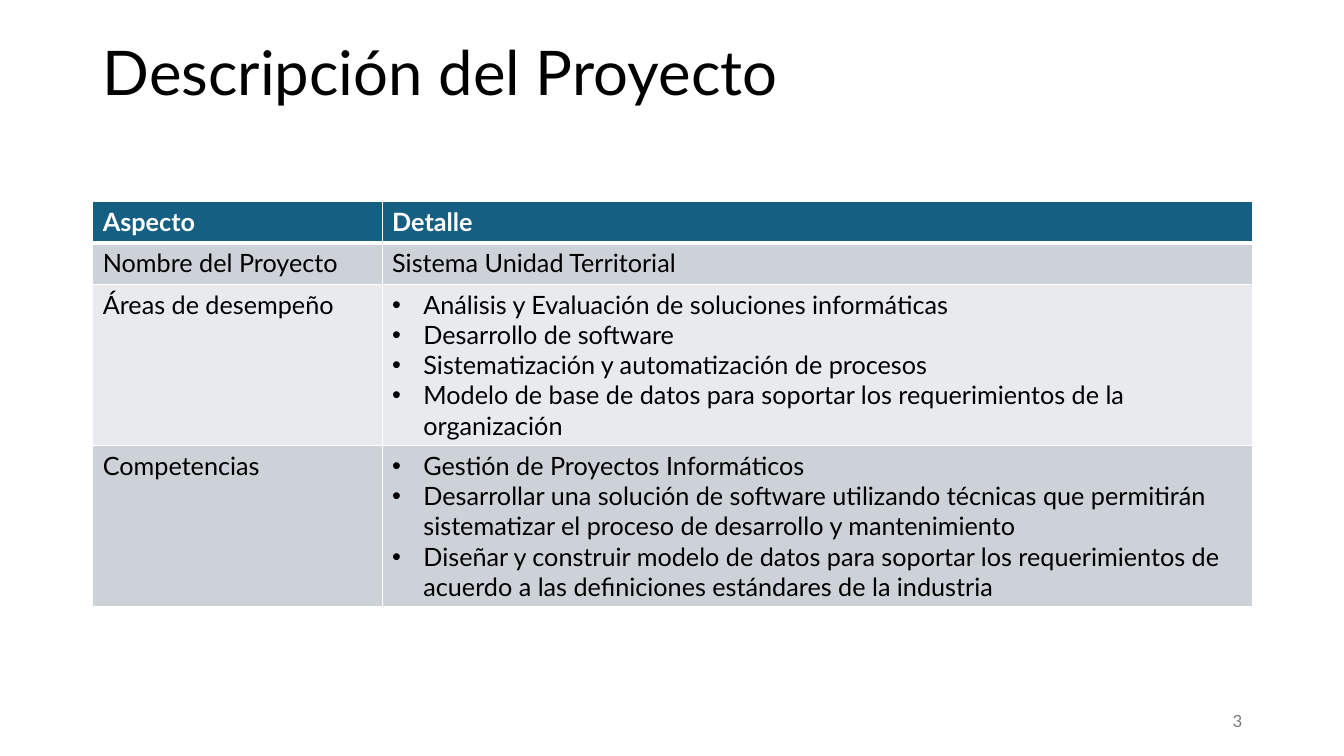
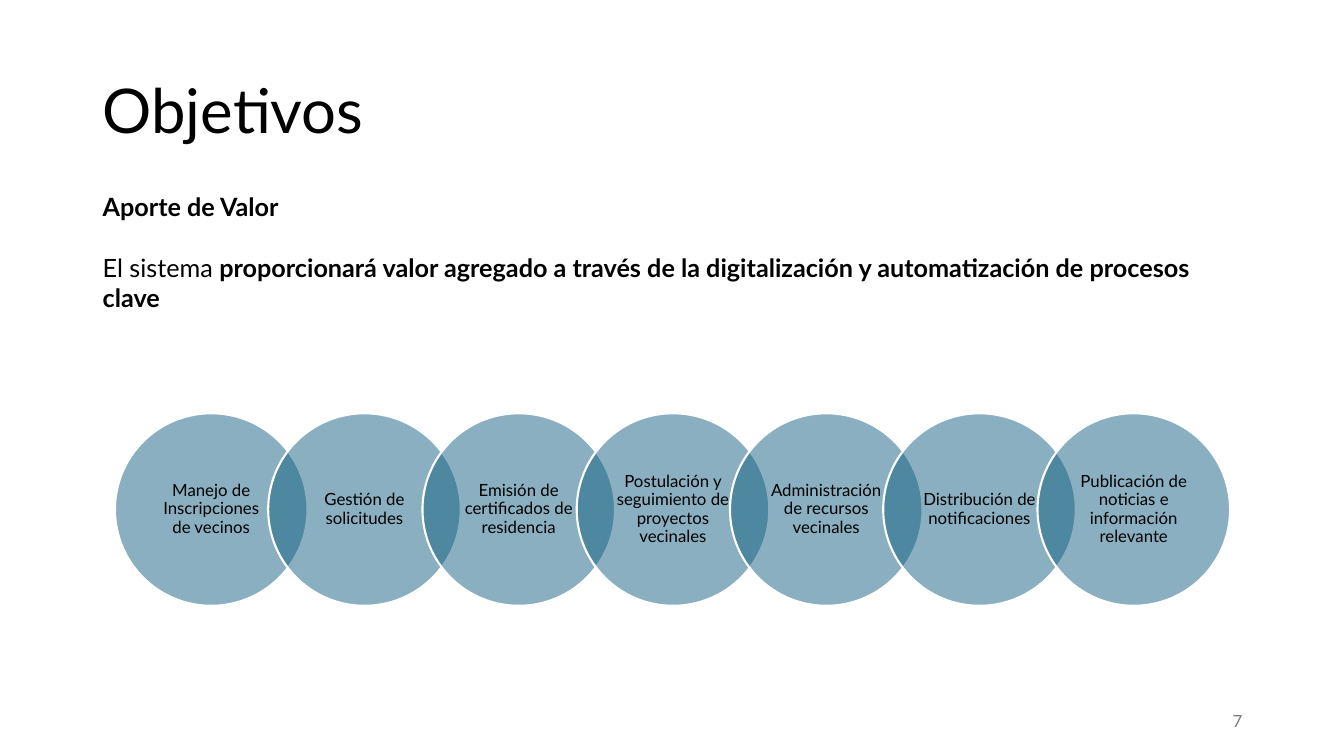
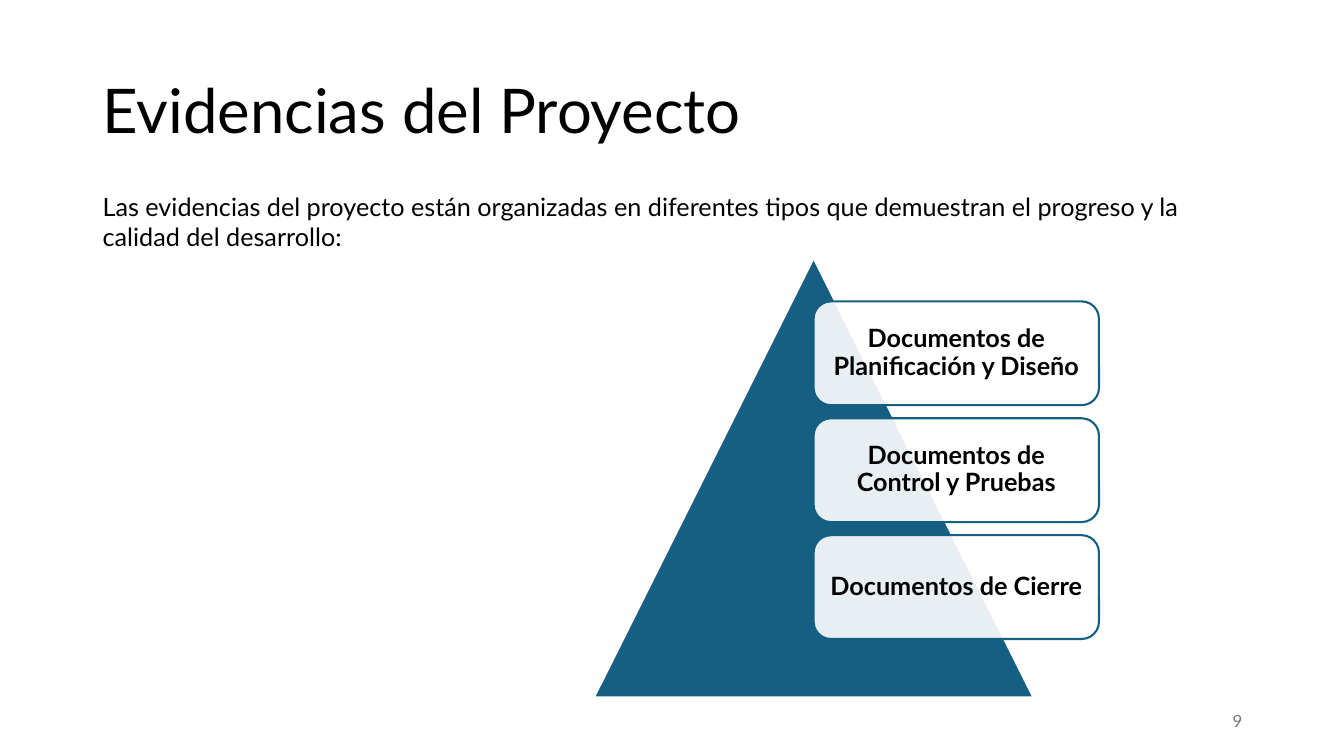
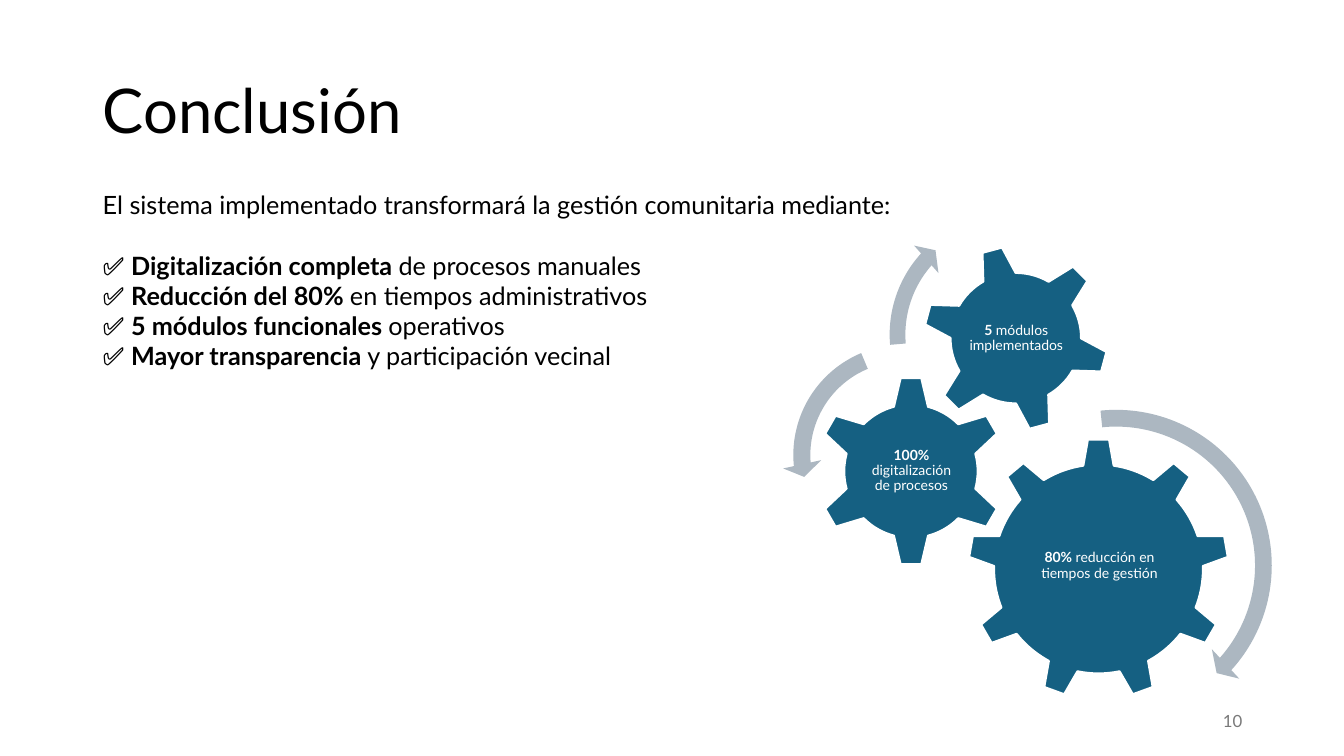
"""Build four slides that present a neighbourhood management system project."""

from dataclasses import dataclass
from typing import NamedTuple, Optional

from lxml.etree import SubElement
from pptx import Presentation
from pptx.dml.color import RGBColor
from pptx.enum.shapes import MSO_SHAPE
from pptx.enum.text import MSO_ANCHOR, PP_ALIGN
from pptx.oxml.ns import qn
from pptx.shapes.autoshape import Shape
from pptx.slide import Slide
from pptx.table import _Cell
from pptx.text.text import TextFrame
from pptx.util import Emu, Pt

EMU_PER_PX = 9144
FONT = "Lato"
COLORS = {
    "white": "FFFFFF",
    "black": "000000",
    "teal": "156082",
    "band_dark": "CCD2D8",
    "band_light": "E8EAED",
    "arrow": "ACB7C1",
    "number": "797979",
}


class Box(NamedTuple):
    left: int
    top: int
    width: int
    height: int


class Run(NamedTuple):
    text: str
    bold: bool = False


@dataclass(frozen=True)
class Paragraph:
    runs: tuple[Run, ...]
    bullet: bool = False
    space_before: float = 0


@dataclass(frozen=True)
class TextStyle:
    size: int = 18
    color: str = "black"
    align: PP_ALIGN = PP_ALIGN.LEFT
    anchor: MSO_ANCHOR = MSO_ANCHOR.TOP
    line_spacing: float = 1.0
    inset_x: int = 10
    inset_y: int = 5


@dataclass(frozen=True)
class Look:
    fill: str
    line: Optional[str] = None
    opacity: int = 100


@dataclass(frozen=True)
class Gear:
    kind: MSO_SHAPE
    box: Box
    label_box: Box
    runs: tuple[Run, ...]
    rotation: int = 0


@dataclass(frozen=True)
class Arrow:
    kind: MSO_SHAPE
    box: Box
    adjustments: tuple[float, ...]


MIDDLE, CENTER = MSO_ANCHOR.MIDDLE, PP_ALIGN.CENTER
BODY = TextStyle()
TITLE = TextStyle(size=44, anchor=MIDDLE, line_spacing=0.9)
NUMBER = TextStyle(size=12, color="number", align=PP_ALIGN.RIGHT, anchor=MIDDLE)
HEADER = TextStyle(color="white")
CIRCLE_LABEL = TextStyle(12, "black", CENTER, MIDDLE, 0.9, 10, 2)
CARD_LABEL = TextStyle(18, "black", CENTER, MIDDLE, 0.9, 7, 7)
GEAR_LABEL = TextStyle(10, "white", CENTER, MIDDLE, 0.9, 1, 1)

SOLID = Look("teal", "white")
CIRCLE = Look("teal", "white", 50)
CARD = Look("white", "teal", 90)
ARROW = Look("arrow")

MARGIN, CONTENT_WIDTH = 92, 1150
BLANK_LINE = 21.6
COLUMN_WIDTHS = (287, 863)
ROW_HEIGHTS = (41, 41, 160, 159)

PROJECT_ROWS = (
    ("Aspecto", ("Detalle",)),
    ("Nombre del Proyecto", ("Sistema Unidad Territorial",)),
    ("Áreas de desempeño", (
        "Análisis y Evaluación de soluciones informáticas",
        "Desarrollo de software",
        "Sistematización y automatización de procesos",
        "Modelo de base de datos para soportar los requerimientos de la organización",
    )),
    ("Competencias", (
        "Gestión de Proyectos Informáticos",
        "Desarrollar una solución de software utilizando técnicas que permitirán "
        "sistematizar el proceso de desarrollo y mantenimiento",
        "Diseñar y construir modelo de datos para soportar los requerimientos de "
        "acuerdo a las definiciones estándares de la industria",
    )),
)
PROCESSES = (
    "Manejo de Inscripciones de vecinos",
    "Gestión de solicitudes",
    "Emisión de certificados de residencia",
    "Postulación y seguimiento de proyectos vecinales",
    "Administración de recursos vecinales",
    "Distribución de notificaciones",
    "Publicación de noticias e información relevante",
)
DOCUMENTS = (
    "Documentos de Planificación y Diseño",
    "Documentos de Control y Pruebas",
    "Documentos de Cierre",
)
BENEFITS = (
    ("Digitalización completa ", "de procesos manuales"),
    ("Reducción del 80% ", "en tiempos administrativos"),
    ("5 módulos funcionales ", "operativos"),
    ("Mayor transparencia ", "y participación vecinal"),
)
GEARS = (
    Gear(MSO_SHAPE.GEAR_9, Box(960, 435, 259, 259), Box(1013, 495, 155, 133),
         (Run("80%", True), Run(" reducción en tiempos de gestión"))),
    Gear(MSO_SHAPE.GEAR_6, Box(809, 373, 189, 189), Box(857, 421, 94, 93),
         (Run("100%", True), Run(" digitalización de procesos"))),
    Gear(MSO_SHAPE.GEAR_6, Box(915, 243, 185, 185), Box(956, 284, 104, 104),
         (Run("5", True), Run(" módulos implementados")), 345),
)
ARROWS = (
    Arrow(MSO_SHAPE.CIRCULAR_ARROW, Box(941, 395, 332, 332),
          (0.05, 2.99, 25.19, 158.55, 0.06)),
    Arrow(MSO_SHAPE.LEFT_CIRCULAR_ARROW, Box(776, 331, 241, 241),
          (0.07, 4.3, 104.89, 148.38, 0.08)),
    Arrow(MSO_SHAPE.CIRCULAR_ARROW, Box(872, 202, 260, 260),
          (0.06, 3.94, 133.14, 105.08, 0.07)),
)


def px(length: int) -> Emu:
    return Emu(length * EMU_PER_PX)


def rgb(name: str) -> RGBColor:
    return RGBColor.from_string(COLORS[name])


def plain(text: str, bold: bool = False) -> Paragraph:
    return Paragraph((Run(text, bold),))


def write(frame: TextFrame, paragraphs: list[Paragraph], style: TextStyle) -> None:
    for index, content in enumerate(paragraphs):
        paragraph = frame.add_paragraph() if index else frame.paragraphs[0]
        paragraph.alignment = style.align
        paragraph.line_spacing = style.line_spacing
        paragraph.space_before = Pt(content.space_before)
        if content.bullet:
            properties = paragraph._p.get_or_add_pPr()
            properties.set("marL", str(px(31)))
            properties.set("indent", str(px(-31)))
            SubElement(properties, qn("a:buFont"), typeface="Arial")
            SubElement(properties, qn("a:buChar"), char="•")
        for part in content.runs:
            run = paragraph.add_run()
            run.text = part.text
            run.font.name = FONT
            run.font.size = Pt(style.size)
            run.font.bold = part.bold
            run.font.color.rgb = rgb(style.color)


def fill_frame(shape: Shape, paragraphs: list[Paragraph], style: TextStyle) -> None:
    frame = shape.text_frame
    frame.word_wrap = True
    frame.vertical_anchor = style.anchor
    frame.margin_left = frame.margin_right = px(style.inset_x)
    frame.margin_top = frame.margin_bottom = px(style.inset_y)
    write(frame, paragraphs, style)


def add_text(slide: Slide, box: Box, paragraphs: list[Paragraph], style: TextStyle) -> None:
    fill_frame(slide.shapes.add_textbox(*map(px, box)), paragraphs, style)


def add_figure(slide: Slide, kind: MSO_SHAPE, box: Box, look: Look) -> Shape:
    shape = slide.shapes.add_shape(kind, *map(px, box))
    shape.shadow.inherit = False
    shape.fill.solid()
    shape.fill.fore_color.rgb = rgb(look.fill)
    if look.opacity < 100:
        color = shape.element.spPr.find(".//" + qn("a:srgbClr"))
        SubElement(color, qn("a:alpha"), val=str(look.opacity * 1000))
    if look.line:
        shape.line.color.rgb = rgb(look.line)
        shape.line.width = Pt(1.5)
    else:
        shape.line.fill.background()
    return shape


def add_page(presentation: Presentation, title: str, number: int,
             title_height: int = 145) -> Slide:
    slide = presentation.slides.add_slide(presentation.slide_layouts[6])
    add_text(slide, Box(MARGIN, 40, CONTENT_WIDTH, title_height), [plain(title)], TITLE)
    add_text(slide, Box(942, 695, 300, 40), [plain(str(number))], NUMBER)
    return slide


def style_cell(cell: _Cell, row: int) -> None:
    properties = cell._tc.get_or_add_tcPr()
    widths = {"L": 1, "R": 1, "T": 3 if row == 1 else 1, "B": 3 if row == 0 else 1}
    for side, width in widths.items():
        border = SubElement(properties, qn(f"a:ln{side}"), w=str(Pt(width)))
        SubElement(SubElement(border, qn("a:solidFill")), qn("a:srgbClr"),
                   val=COLORS["white"])
    cell.fill.solid()
    band = "band_dark" if row % 2 else "band_light"
    cell.fill.fore_color.rgb = rgb(band if row else "teal")


def build_description(presentation: Presentation) -> None:
    slide = add_page(presentation, "Descripción del Proyecto", 3, 70)
    box = Box(MARGIN, 200, CONTENT_WIDTH, sum(ROW_HEIGHTS))
    table = slide.shapes.add_table(len(ROW_HEIGHTS), len(COLUMN_WIDTHS), *map(px, box)).table
    table.horz_banding = False
    for column, width in zip(table.columns, COLUMN_WIDTHS):
        column.width = px(width)
    for index, (aspect, details) in enumerate(PROJECT_ROWS):
        table.rows[index].height = px(ROW_HEIGHTS[index])
        for cell, texts in zip(table.rows[index].cells, ((aspect,), details)):
            style_cell(cell, index)
            paragraphs = [Paragraph((Run(text, index == 0),), len(texts) > 1) for text in texts]
            write(cell.text_frame, paragraphs, BODY if index else HEADER)


def build_objectives(presentation: Presentation) -> None:
    slide = add_page(presentation, "Objetivos", 7)
    value = Paragraph((
        Run("El sistema "),
        Run("proporcionará valor agregado a través de la digitalización y "
            "automatización de procesos clave", True),
    ), space_before=BLANK_LINE)
    add_text(slide, Box(MARGIN, 185, CONTENT_WIDTH, 131),
             [plain("Aporte de Valor", True), value], BODY)
    first, last, size = 114, 1029, 191
    for index, process in enumerate(PROCESSES):
        left = first + round(index * (last - first) / (len(PROCESSES) - 1))
        circle = add_figure(slide, MSO_SHAPE.OVAL, Box(left, 410, size, size), CIRCLE)
        fill_frame(circle, [plain(process)], CIRCLE_LABEL)


def build_evidence(presentation: Presentation) -> None:
    slide = add_page(presentation, "Evidencias del Proyecto", 9)
    introduction = ("Las evidencias del proyecto están organizadas en diferentes tipos "
                    "que demuestran el progreso y la calidad del desarrollo:")
    add_text(slide, Box(MARGIN, 185, CONTENT_WIDTH, 71), [plain(introduction)], BODY)
    add_figure(slide, MSO_SHAPE.ISOSCELES_TRIANGLE, Box(589, 256, 436, 436), SOLID)
    height, gap = 103, 13
    for index, document in enumerate(DOCUMENTS):
        box = Box(807, 299 + index * (height + gap), 283, height)
        card = add_figure(slide, MSO_SHAPE.ROUNDED_RECTANGLE, box, CARD)
        fill_frame(card, [plain(document, True)], CARD_LABEL)


def build_conclusion(presentation: Presentation) -> None:
    slide = add_page(presentation, "Conclusión", 10)
    introduction = "El sistema implementado transformará la gestión comunitaria mediante:"
    benefits = [
        Paragraph((Run("✅ "), Run(benefit, True), Run(scope)),
                  space_before=0 if index else BLANK_LINE)
        for index, (benefit, scope) in enumerate(BENEFITS)
    ]
    add_text(slide, Box(MARGIN, 183, 862, 192), [plain(introduction), *benefits], BODY)
    for gear in GEARS:
        add_figure(slide, gear.kind, gear.box, SOLID).rotation = gear.rotation
        add_text(slide, gear.label_box, [Paragraph(gear.runs)], GEAR_LABEL)
    for arrow in ARROWS:
        shape = add_figure(slide, arrow.kind, arrow.box, ARROW)
        for index, value in enumerate(arrow.adjustments):
            shape.adjustments[index] = value


def main() -> None:
    presentation = Presentation()
    presentation.slide_width, presentation.slide_height = px(1333), px(750)
    build_description(presentation)
    build_objectives(presentation)
    build_evidence(presentation)
    build_conclusion(presentation)
    presentation.save("out.pptx")


if __name__ == "__main__":
    main()
